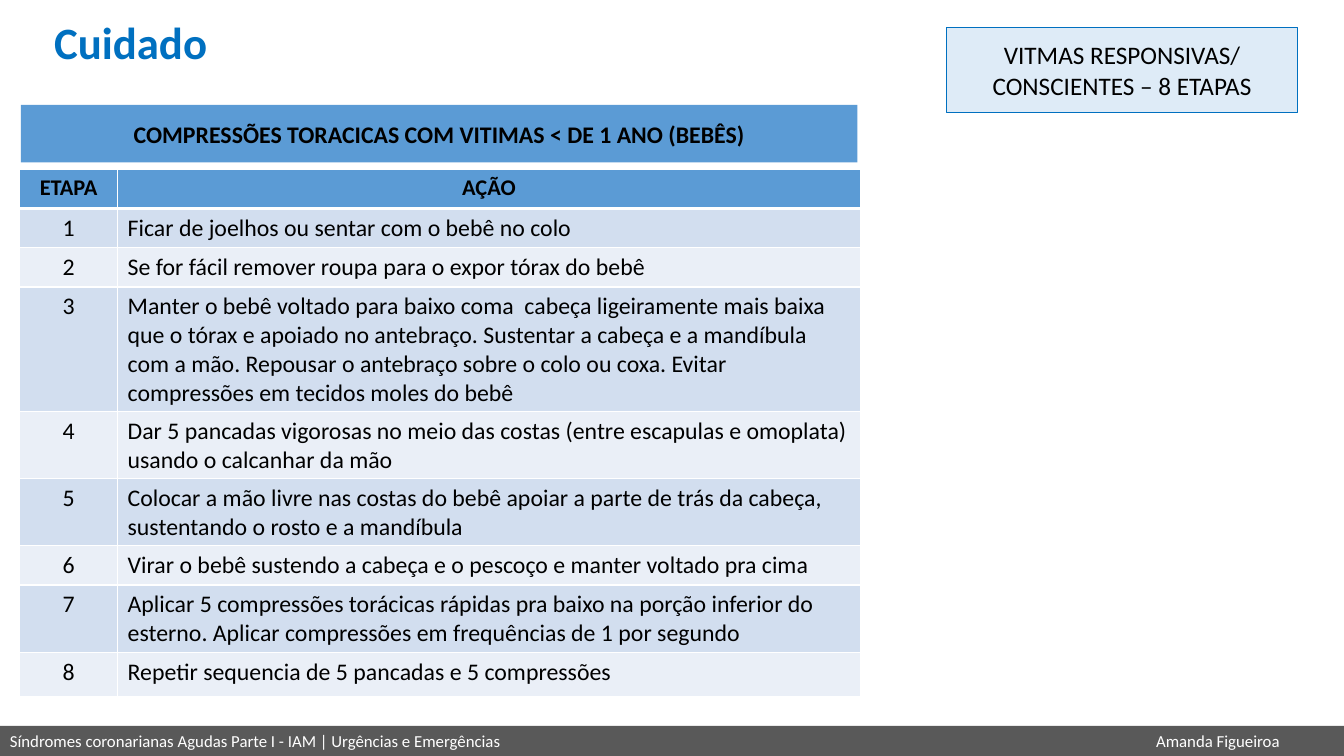
from dataclasses import dataclass

from lxml import etree
from pptx import Presentation
from pptx.dml.color import RGBColor
from pptx.enum import shapes, text
from pptx.oxml import ns
from pptx.util import Pt


@dataclass(frozen=True)
class Theme:
    font: str = "Calibri"
    accent: str = "0070C0"
    header: str = "5B9BD5"
    callout: str = "DEEBF7"
    bands: tuple = ("D2DEEF", "EAEFF7")
    footer: str = "595959"
    dark: str = "000000"
    light: str = "FFFFFF"
    title_size: int = 32
    callout_size: int = 18
    body_size: int = 17
    header_size: int = 16
    footer_size: int = 12


THEME = Theme()
CENTER = text.PP_ALIGN.CENTER
LEFT = text.PP_ALIGN.LEFT

COLUMN_WIDTHS = (70, 530.5)
ROW_HEIGHTS = (28, 28, 28, 88.5, 48, 48, 28, 48, 32)
ACTIONS = (
    "Ficar de joelhos ou sentar com o bebê no colo",
    "Se for fácil remover roupa para o expor tórax do bebê",
    "Manter o bebê voltado para baixo coma  cabeça ligeiramente mais baixa que o tórax "
    "e apoiado no antebraço. Sustentar a cabeça e a mandíbula com a mão. Repousar o "
    "antebraço sobre o colo ou coxa. Evitar compressões em tecidos moles do bebê",
    "Dar 5 pancadas vigorosas no meio das costas (entre escapulas e omoplata) "
    "usando o calcanhar da mão",
    "Colocar a mão livre nas costas do bebê apoiar a parte de trás da cabeça, "
    "sustentando o rosto e a mandíbula",
    "Virar o bebê sustendo a cabeça e o pescoço e manter voltado pra cima",
    "Aplicar 5 compressões torácicas rápidas pra baixo na porção inferior do esterno. "
    "Aplicar compressões em frequências de 1 por segundo",
    "Repetir sequencia de 5 pancadas e 5 compressões",
)


def write(frame, wording, size, color=THEME.dark, bold=False, align=LEFT):
    frame.text = wording
    for paragraph in frame.paragraphs:
        paragraph.alignment = align
        for run in paragraph.runs:
            run.font.name = THEME.font
            run.font.size = Pt(size)
            run.font.bold = bold
            run.font.color.rgb = RGBColor.from_string(color)


def add_title(slide, wording):
    title = slide.shapes.title
    title.left, title.top, title.width, title.height = Pt(31.5), Pt(7), Pt(125), Pt(46)
    frame = title.text_frame
    write(frame, wording, THEME.title_size, THEME.accent, bold=True)
    frame.word_wrap = False
    frame.auto_size = text.MSO_AUTO_SIZE.NONE
    frame.vertical_anchor = text.MSO_ANCHOR.TOP


def add_box(slide, left, top, width, height, fill, line=None):
    box = slide.shapes.add_shape(
        shapes.MSO_SHAPE.RECTANGLE, Pt(left), Pt(top), Pt(width), Pt(height))
    box.shadow.inherit = False
    box.fill.solid()
    box.fill.fore_color.rgb = RGBColor.from_string(fill)
    if line:
        box.line.color.rgb = RGBColor.from_string(line)
        box.line.width = Pt(1)
    else:
        box.line.fill.background()
    box.text_frame.word_wrap = True
    box.text_frame.vertical_anchor = text.MSO_ANCHOR.MIDDLE
    return box


def add_footer_text(slide, left, width, wording, align=LEFT):
    box = slide.shapes.add_textbox(Pt(left), Pt(518.4), Pt(width), Pt(21.6))
    box.text_frame.word_wrap = True
    write(box.text_frame, wording, THEME.footer_size, THEME.light, align=align)


def set_borders(cell, bottom_width):
    properties = cell._tc.get_or_add_tcPr()
    for side, width in (("L", 1), ("R", 1), ("T", 1), ("B", bottom_width)):
        line = etree.SubElement(properties, ns.qn(f"a:ln{side}"), w=str(Pt(width)))
        fill = etree.SubElement(line, ns.qn("a:solidFill"))
        etree.SubElement(fill, ns.qn("a:srgbClr"), val=THEME.light)


def add_steps_table(slide, left, top):
    rows = [("ETAPA", "AÇÃO")]
    rows += [(str(step), action) for step, action in enumerate(ACTIONS, 1)]
    table = slide.shapes.add_table(
        len(rows), len(COLUMN_WIDTHS), Pt(left), Pt(top),
        Pt(sum(COLUMN_WIDTHS)), Pt(sum(ROW_HEIGHTS))).table
    for column, width in zip(table.columns, COLUMN_WIDTHS):
        column.width = Pt(width)
    for r, (wordings, height) in enumerate(zip(rows, ROW_HEIGHTS)):
        table.rows[r].height = Pt(height)
        is_header = r == 0
        fill = THEME.header if is_header else THEME.bands[(r - 1) % 2]
        size = THEME.header_size if is_header else THEME.body_size
        for c, wording in enumerate(wordings):
            cell = table.cell(r, c)
            set_borders(cell, 3 if is_header else 1)
            cell.fill.solid()
            cell.fill.fore_color.rgb = RGBColor.from_string(fill)
            align = CENTER if is_header or c == 0 else LEFT
            write(cell.text_frame, wording, size, bold=is_header, align=align)


def main():
    presentation = Presentation()
    presentation.slide_width, presentation.slide_height = Pt(960), Pt(540)
    slide = presentation.slides.add_slide(presentation.slide_layouts[5])

    add_box(slide, 0, 518.4, 960, 23, THEME.footer)
    add_title(slide, "Cuidado")
    add_footer_text(slide, 780, 180, "Amanda Figueiroa", CENTER)
    add_footer_text(
        slide, 0, 404, "Síndromes coronarianas Agudas Parte I - IAM | Urgências e Emergências")

    heading = add_box(slide, 15, 75, 597.5, 41, THEME.header)
    write(heading.text_frame, "COMPRESSÕES TORACICAS COM VITIMAS < DE 1 ANO (BEBÊS)",
          THEME.body_size, bold=True, align=CENTER)
    callout = add_box(slide, 676, 19.5, 251, 61, THEME.callout, THEME.accent)
    write(callout.text_frame, "VITMAS RESPONSIVAS/ CONSCIENTES – 8 ETAPAS",
          THEME.callout_size, align=CENTER)
    add_steps_table(slide, 14, 121)

    presentation.save("out.pptx")


if __name__ == "__main__":
    main()
